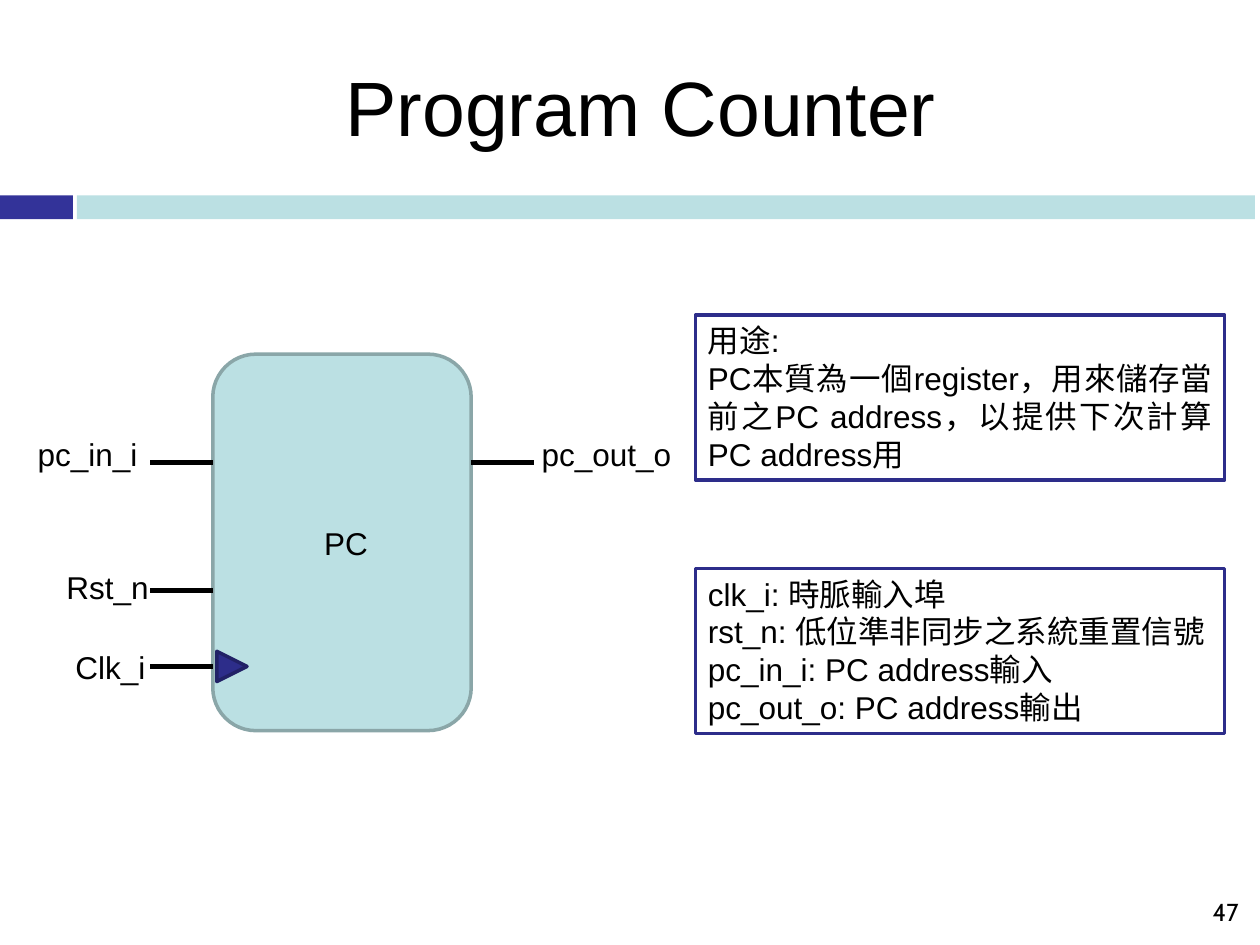
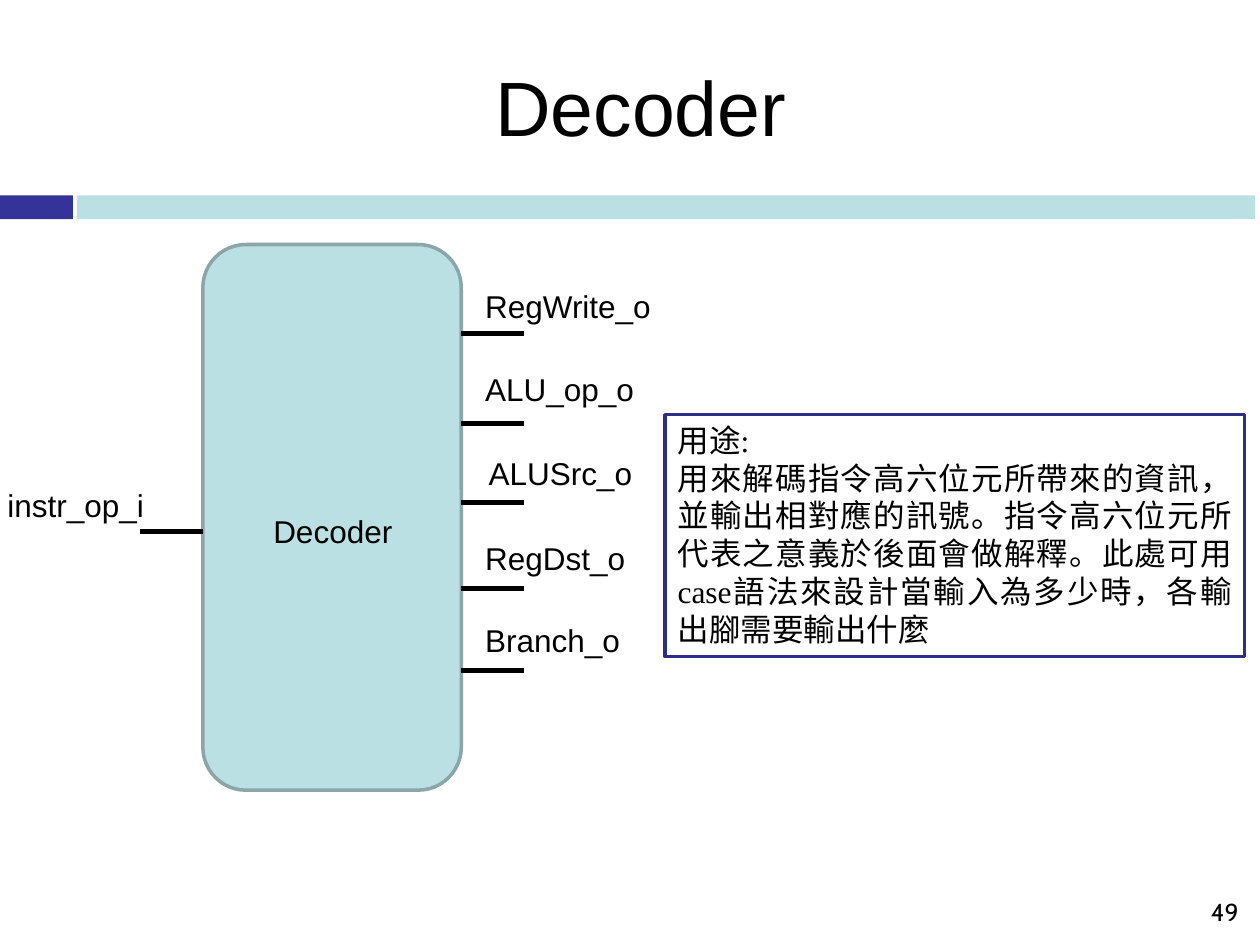
from dataclasses import dataclass

import pptx
import pptx.dml.color
import pptx.enum.shapes
import pptx.enum.text
import pptx.oxml.ns
import pptx.util
from lxml import etree
from pptx.util import Cm, Pt

Kind = pptx.enum.shapes.MSO_SHAPE
Align = pptx.enum.text.PP_ALIGN
Anchor = pptx.enum.text.MSO_ANCHOR

COLOURS = {
    "text": "000000",
    "paper": "FFFFFF",
    "navy": "333399",
    "teal": "BBE0E3",
    "block_edge": "8AA6A8",
    "ink_blue": "2D2D8A",
    "clock_edge": "212166",
}
BODY_FONT = "Arial"
BODY_SIZE = 18
LABEL_HEIGHT = 1.02
WIRE_LENGTH = 1.26


@dataclass(frozen=True)
class Area:
    left: float
    top: float
    width: float
    height: float = LABEL_HEIGHT

    def lengths(self) -> tuple:
        return Cm(self.left), Cm(self.top), Cm(self.width), Cm(self.height)


@dataclass(frozen=True)
class Pin:
    name: str
    wire_y: float
    label: Area
    is_output: bool = False


@dataclass(frozen=True)
class Note:
    area: Area
    lines: tuple[str, ...]
    font: str = BODY_FONT
    justified: bool = True


@dataclass(frozen=True)
class Module:
    title: str
    number: str
    block: Area
    name: str
    name_area: Area
    pins: tuple[Pin, ...]
    notes: tuple[Note, ...]
    clock: Area | None = None


MODULES = (
    Module(
        "Program Counter", "47",
        Area(4.29, 7.14, 5.21, 7.59), "PC", Area(6.25, 10.44, 1.45),
        (
            Pin("Clk_i", 13.44, Area(1.27, 12.93, 2.24)),
            Pin("Rst_n", 11.91, Area(1.09, 11.33, 2.24)),
            Pin("pc_in_i", 9.32, Area(0.51, 8.64, 2.64)),
            Pin("pc_out_o", 9.32, Area(10.67, 8.64, 3.84), True),
        ),
        (
            Note(Area(14.02, 6.35, 10.67, 3.33), (
                "用途:",
                "PC本質為一個register，用來儲存當前之PC address，以提供下次計算PC address用",
            )),
            Note(Area(14.02, 11.46, 10.67, 3.33), (
                "clk_i: 時脈輸入埠",
                "rst_n: 低位準非同步之系統重置信號",
                "pc_in_i: PC address輸入",
                "pc_out_o: PC address輸出",
            ), justified=False),
        ),
        Area(4.37, 13.13, 0.61, 0.61),
    ),
    Module(
        "Decoder", "49",
        Area(4.09, 4.93, 5.21, 11), "Decoder", Area(5.01, 10.19, 3.4),
        (
            Pin("instr_op_i", 10.72, Area(-0.1, 9.68, 3.48)),
            Pin("RegWrite_o", 6.73, Area(9.53, 5.66, 3.99), True),
            Pin("ALU_op_o", 8.53, Area(9.53, 7.34, 3.99), True),
            Pin("ALUSrc_o", 10.13, Area(9.6, 9.02, 3.48), True),
            Pin("RegDst_o", 11.86, Area(9.53, 10.74, 3.48), True),
            Pin("Branch_o", 13.51, Area(9.53, 12.4, 3.48), True),
        ),
        (
            Note(Area(13.41, 8.36, 11.68, 4.88), (
                "用途:",
                "用來解碼指令高六位元所帶來的資訊，並輸出相對應的訊號。"
                "指令高六位元所代表之意義於後面會做解釋。"
                "此處可用case語法來設計當輸入為多少時，各輸出腳需要輸出什麼",
            ), "Times New Roman"),
        ),
    ),
)


def colour(name: str) -> pptx.dml.color.RGBColor:
    return pptx.dml.color.RGBColor.from_string(COLOURS[name])


def write(frame, lines: tuple[str, ...], align: Align = Align.LEFT,
          size: float = BODY_SIZE, font: str = BODY_FONT) -> None:
    frame.word_wrap = True
    for index, line in enumerate(lines):
        para = frame.add_paragraph() if index else frame.paragraphs[0]
        para.text = line
        para.alignment = align
        para.font.size = Pt(size)
        para.font.name = font
        para.font.color.rgb = colour("text")


def add_label(page, area: Area, text: str, align: Align = Align.LEFT,
              size: float = BODY_SIZE, font: str = BODY_FONT):
    box = page.shapes.add_textbox(*area.lengths())
    write(box.text_frame, (text,), align, size, font)
    return box


def add_panel(page, kind: Kind, area: Area, fill: str, edge: str | None = None):
    panel = page.shapes.add_shape(kind, *area.lengths())
    panel.shadow.inherit = False
    panel.fill.solid()
    panel.fill.fore_color.rgb = colour(fill)
    if edge:
        panel.line.color.rgb = colour(edge)
        panel.line.width = Pt(2)
    else:
        panel.line.fill.background()
    return panel


def add_pin(page, pin: Pin, block: Area) -> None:
    start = block.left + block.width if pin.is_output else block.left - WIRE_LENGTH
    wire = page.shapes.add_connector(
        pptx.enum.shapes.MSO_CONNECTOR.STRAIGHT,
        Cm(start), Cm(pin.wire_y), Cm(start + WIRE_LENGTH), Cm(pin.wire_y))
    wire.line.color.rgb = colour("text")
    wire.line.width = Pt(3)
    etree.SubElement(wire._element.spPr, pptx.oxml.ns.qn("a:effectLst"))
    add_label(page, pin.label, pin.name)


def add_note(page, note: Note) -> None:
    panel = add_panel(page, Kind.RECTANGLE, note.area, "paper", "ink_blue")
    align = Align.JUSTIFY if note.justified else Align.LEFT
    write(panel.text_frame, note.lines, align, font=note.font)
    panel.text_frame.word_wrap = note.justified
    panel.text_frame.vertical_anchor = Anchor.TOP


def add_frame(page, title: str, number: str) -> None:
    add_panel(page, Kind.RECTANGLE, Area(0, 3.94, 1.47, 0.48), "navy")
    add_panel(page, Kind.RECTANGLE, Area(1.55, 3.94, 23.75, 0.48), "teal")
    heading = add_label(page, Area(2.9, 0.91, 20.04, 3.18), title, Align.CENTER, 44)
    heading.text_frame.margin_top = Cm(0.29)
    footer = add_label(page, Area(19.3, 17.93, 5.92, 0.91), number, Align.RIGHT, 14, "Cabin")
    footer.text_frame.vertical_anchor = Anchor.MIDDLE


def add_module(deck, module: Module) -> None:
    page = deck.slides.add_slide(deck.slide_layouts[6])
    add_frame(page, module.title, module.number)
    add_panel(page, Kind.ROUNDED_RECTANGLE, module.block, "teal", "block_edge")
    for pin in module.pins:
        add_pin(page, pin, module.block)
    if module.clock:
        marker = add_panel(page, Kind.ISOSCELES_TRIANGLE, module.clock,
                           "ink_blue", "clock_edge")
        marker.rotation = 90
    add_label(page, module.name_area, module.name, Align.CENTER)
    for note in module.notes:
        add_note(page, note)


def main() -> None:
    deck = pptx.Presentation()
    deck.slide_width = Cm(25.4)
    deck.slide_height = Cm(19.05)
    for module in MODULES:
        add_module(deck, module)
    deck.save("out.pptx")


if __name__ == "__main__":
    main()
